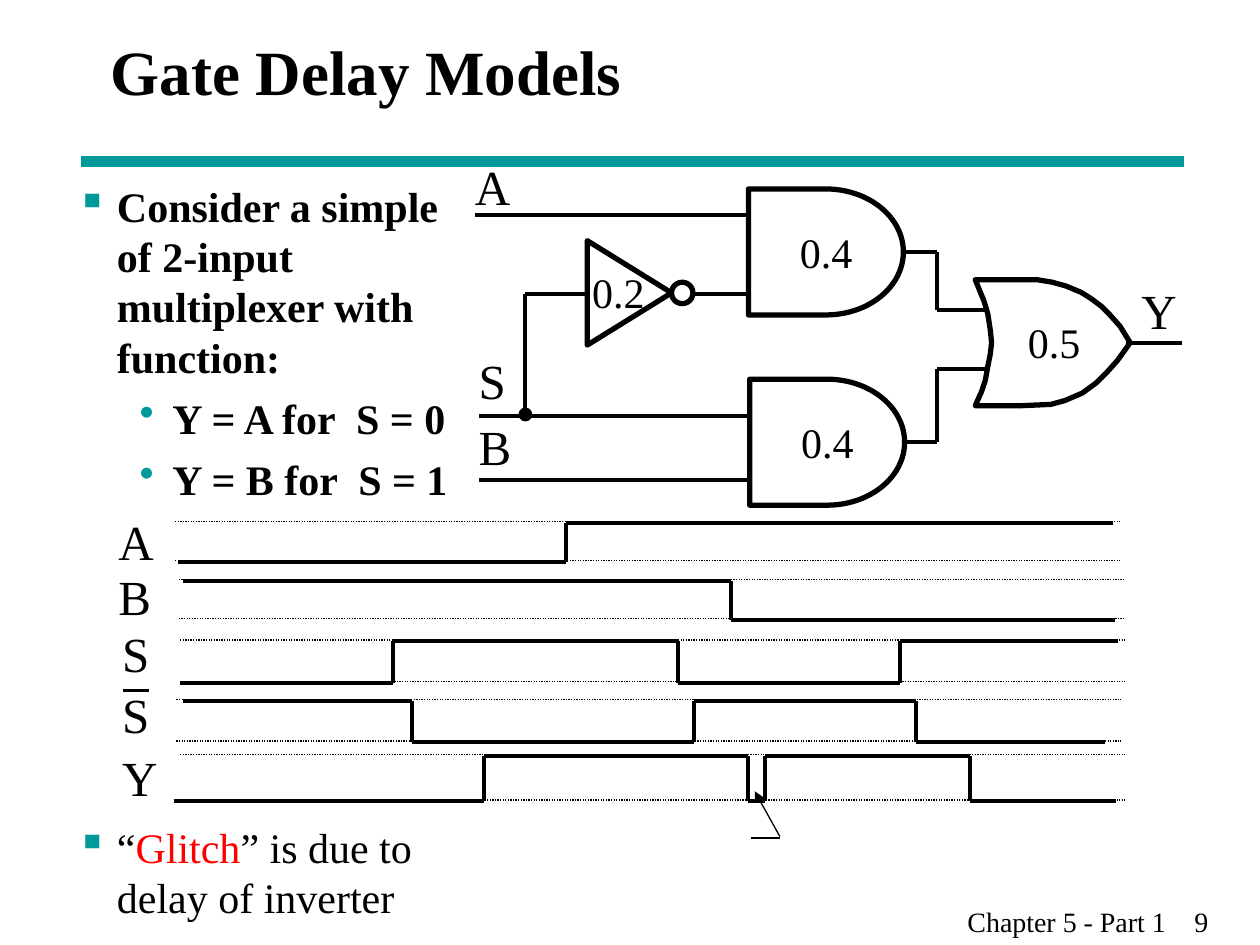
from dataclasses import dataclass

from lxml.etree import SubElement
from pptx import Presentation
from pptx.dml.color import RGBColor
from pptx.enum.dml import MSO_LINE
from pptx.enum.shapes import MSO_CONNECTOR, MSO_SHAPE
from pptx.enum.text import MSO_ANCHOR, PP_ALIGN
from pptx.oxml.ns import qn
from pptx.util import Pt

PX = 9144  # 100 px to the inch


@dataclass(frozen=True)
class Theme:
    font: str = "Times New Roman"
    ink: str = "000000"
    accent: str = "009999"
    alert: str = "FF0000"
    title: int = 36
    label: int = 28
    body: int = 24
    footer: int = 16
    thin: float = 0.75
    wire: float = 2.25
    outline: float = 3
    rule: float = 6


THEME = Theme()


@dataclass(frozen=True)
class Box:
    left: int
    top: int
    width: int
    height: int

    def inner(self, left, top, width, height):
        return Box(self.left + left, self.top + top, width, height)

    def emu(self):
        return [n * PX for n in (self.left, self.top, self.width, self.height)]


def color(value):
    return RGBColor.from_string(value)


def write_para(para, spans, size=THEME.body, bold=False, bullet=None, margin=0,
               hanging=0, before=0, tab=None):
    """Fill a paragraph with text, or with (text, colour) spans."""
    if isinstance(spans, str):
        spans = [(spans, THEME.ink)]
    para.alignment = PP_ALIGN.LEFT
    para.space_before = Pt(before)
    for words, ink in spans:
        span = para.add_run()
        span.text = words
        span.font.name, span.font.size, span.font.bold = THEME.font, Pt(size), bold
        span.font.color.rgb = color(ink)
    props = para._p.get_or_add_pPr()
    if bullet:
        props.set("marL", str(margin * PX))
        props.set("indent", str(-hanging * PX))
        tint = SubElement(props, qn("a:buClr"))
        SubElement(tint, qn("a:srgbClr"), val=THEME.accent)
        SubElement(props, qn("a:buChar"), char=bullet)
    if tab:
        stops = SubElement(props, qn("a:tabLst"))
        SubElement(stops, qn("a:tab"), pos=str(tab * PX), algn="l")


def add_text(page, box, paras, wrap=True, **style):
    """Place a text box; paras is one text or a list of (spans, format) pairs."""
    frame = page.shapes.add_textbox(*box.emu()).text_frame
    frame.word_wrap = wrap
    if isinstance(paras, str):
        paras = [(paras, style)]
    for index, (spans, extra) in enumerate(paras):
        para = frame.add_paragraph() if index else frame.paragraphs[0]
        write_para(para, spans, **extra)


def add_line(page, box, start, end, width=THEME.wire, ink=THEME.ink, dash=None, arrow=False):
    ends = [box.left + start[0], box.top + start[1], box.left + end[0], box.top + end[1]]
    line = page.shapes.add_connector(MSO_CONNECTOR.STRAIGHT, *[n * PX for n in ends])
    line.line.width = Pt(width)
    line.line.color.rgb = color(ink)
    if dash:
        line.line.dash_style = dash
    if arrow:
        SubElement(line.line._get_or_add_ln(), qn("a:tailEnd"), type="triangle")
    SubElement(line._element.spPr, qn("a:effectLst"))


def add_path(page, box, points, **style):
    for start, end in zip(points, points[1:]):
        add_line(page, box, start, end, **style)


def style_outline(shape, width=THEME.outline, fill=None):
    shape.shadow.inherit = False
    if fill:
        shape.fill.solid()
        shape.fill.fore_color.rgb = color(fill)
    else:
        shape.fill.background()
    shape.line.width = Pt(width)
    shape.line.color.rgb = color(THEME.ink)


def add_outline(page, kind, box, **style):
    shape = page.shapes.add_shape(kind, *box.emu())
    style_outline(shape, **style)
    return shape


def header(page, box):
    title = page.shapes.title
    title.left, title.top, title.width, title.height = box.inner(78, 0, 850, 112).emu()
    title.text_frame.vertical_anchor = MSO_ANCHOR.MIDDLE
    write_para(title.text_frame.paragraphs[0], "Gate Delay Models", size=THEME.title, bold=True)
    add_line(page, box, (64, 128), (940, 128), width=THEME.rule, ink=THEME.accent)


def notes_column(page, box):
    main = dict(bullet="▪", margin=32, hanging=32)
    sub = dict(bullet="•", margin=76, hanging=26, before=6, bold=True)
    add_text(page, box.inner(0, 0, box.width, 270), [
        ("Consider a simple of 2-input multiplexer with function:", dict(main, bold=True)),
        ("Y = A for  S = 0", sub),
        ("Y = B for  S = 1", sub),
    ])
    glitch = [("“", THEME.ink), ("Glitch", THEME.alert),
              ("” is due to delay of inverter", THEME.ink)]
    add_text(page, box.inner(0, 509, box.width, 90), [(glitch, main)])


def and_gate(page, box):
    add_outline(page, MSO_SHAPE.FLOWCHART_DELAY, box)
    add_text(page, box.inner(31, 25, 87, 50), "0.4")


def or_gate(page, box):
    outline = [(0, 0), (7, 17), (10, 27), (12, 40), (13, 50), (12, 59), (10, 69), (8, 80),
               (5, 89), (0, 100), (37, 100), (60, 99), (71, 96), (85, 90), (96, 82),
               (105, 73), (113, 64), (123, 50), (115, 37), (107, 28), (100, 21), (92, 15),
               (84, 10), (72, 5), (61, 2), (49, 0), (40, 0)]
    points = [((box.left + x) * PX, (box.top + y) * PX) for x, y in outline]
    builder = page.shapes.build_freeform(*points[0])
    builder.add_line_segments(points[1:], close=True)
    style_outline(builder.convert_to_shape())
    add_text(page, box.inner(32, 24, 88, 50), "0.5")


def inverter(page, box):
    triangle = add_outline(page, MSO_SHAPE.ISOSCELES_TRIANGLE, box.inner(-8, 8, 83, 67))
    triangle.rotation = 90
    add_outline(page, MSO_SHAPE.OVAL, box.inner(67, 33, 17, 17))
    add_text(page, box.inner(-6, 16, 88, 50), "0.2")


def circuit(page, box):
    # Gates
    and_gate(page, box.inner(234, 50, 123, 100))
    and_gate(page, box.inner(235, 201, 123, 100))
    or_gate(page, box.inner(414, 122, 123, 100))
    inverter(page, box.inner(106, 91, 84, 83))
    # Wires
    for wire in (
        [(17, 71), (233, 71)],
        [(20, 230), (235, 230)],
        [(20, 281), (236, 281)],
        [(57, 230), (57, 133), (108, 133)],
        [(190, 133), (235, 133)],
        [(356, 100), (384, 100), (384, 146), (425, 146)],
        [(356, 251), (384, 251), (384, 193), (423, 193)],
        [(534, 172), (578, 172)],
    ):
        add_path(page, box, wire)
    add_outline(page, MSO_SHAPE.OVAL, box.inner(52, 224, 10, 10),
                width=THEME.thin, fill=THEME.ink)
    # Terminal names
    for name, left, top in (("A", 7, 19), ("S", 10, 173), ("B", 10, 226), ("Y", 536, 118)):
        add_text(page, box.inner(left, top, 42, 57), name, wrap=False, size=THEME.label)


def waveform(page, box, high, low, is_high, edges):
    """Draw a signal that toggles at each inner x of edges."""
    points = []
    for start, end in zip(edges, edges[1:]):
        level = high if is_high else low
        points += [(start, level), (end, level)]
        is_high = not is_high
    add_path(page, box, points)


def timing_diagram(page, box):
    # name, label left and top, guide left, high and low, starts high, toggle positions
    signals = (
        ("A", 4, 1, 59, 15, 46, False, (61, 369, 803)),
        ("B", 4, 45, 62, 61, 92, True, (65, 500, 805)),
        ("S", 7, 90, 63, 109, 142, False, (63, 232, 458, 634, 807)),
        ("S", 7, 138, 60, 156, 189, True, (65, 247, 471, 647, 797)),
        ("Y", 7, 188, 63, 200, 236, False, (58, 304, 514, 527, 690, 806)),
    )
    for name, left, top, guide, high, low, is_high, edges in signals:
        add_text(page, box.inner(left, top, 42, 57), name, wrap=False, size=THEME.label)
        for level in (high, low):
            add_line(page, box, (guide, level - 1), (guide + 750, level - 1),
                     width=THEME.thin, dash=MSO_LINE.ROUND_DOT)
        waveform(page, box, high, low, is_high, edges)
    # Bar over the inverted S
    add_line(page, box, (18, 148), (38, 148))
    # Pointer to the glitch
    add_line(page, box, (539, 264), (519, 228), width=THEME.thin, arrow=True)
    add_line(page, box, (539, 265), (516, 265), width=THEME.thin)


def footer(page, box):
    add_text(page, box, "Chapter 5 - Part 1\t9", size=THEME.footer, tab=180)


def main():
    deck = Presentation()
    deck.slide_width, deck.slide_height = 1000 * PX, 750 * PX
    page = deck.slides.add_slide(deck.slide_layouts[5])
    header(page, Box(0, 0, 1000, 135))
    footer(page, Box(758, 713, 242, 37))
    notes_column(page, Box(51, 138, 340, 600))
    circuit(page, Box(360, 100, 580, 305))
    timing_diagram(page, Box(80, 400, 820, 270))
    deck.save("out.pptx")


if __name__ == "__main__":
    main()
